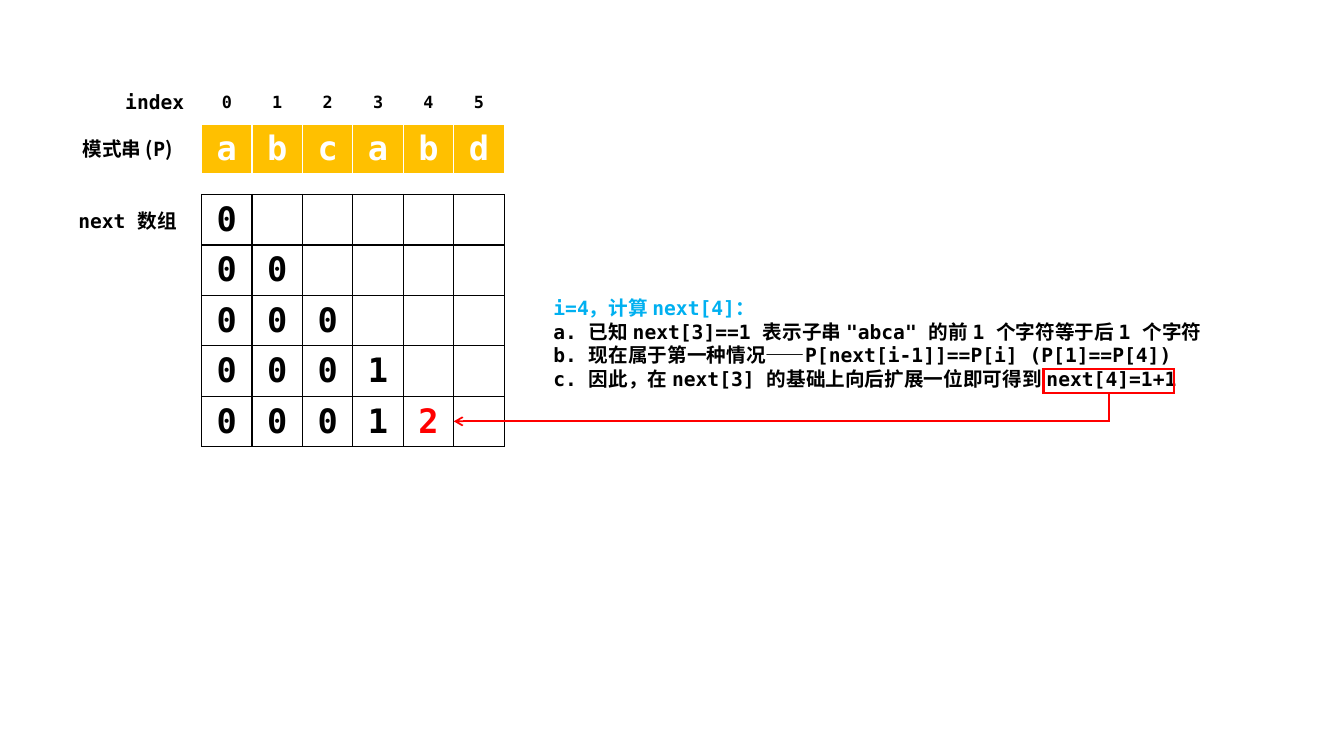
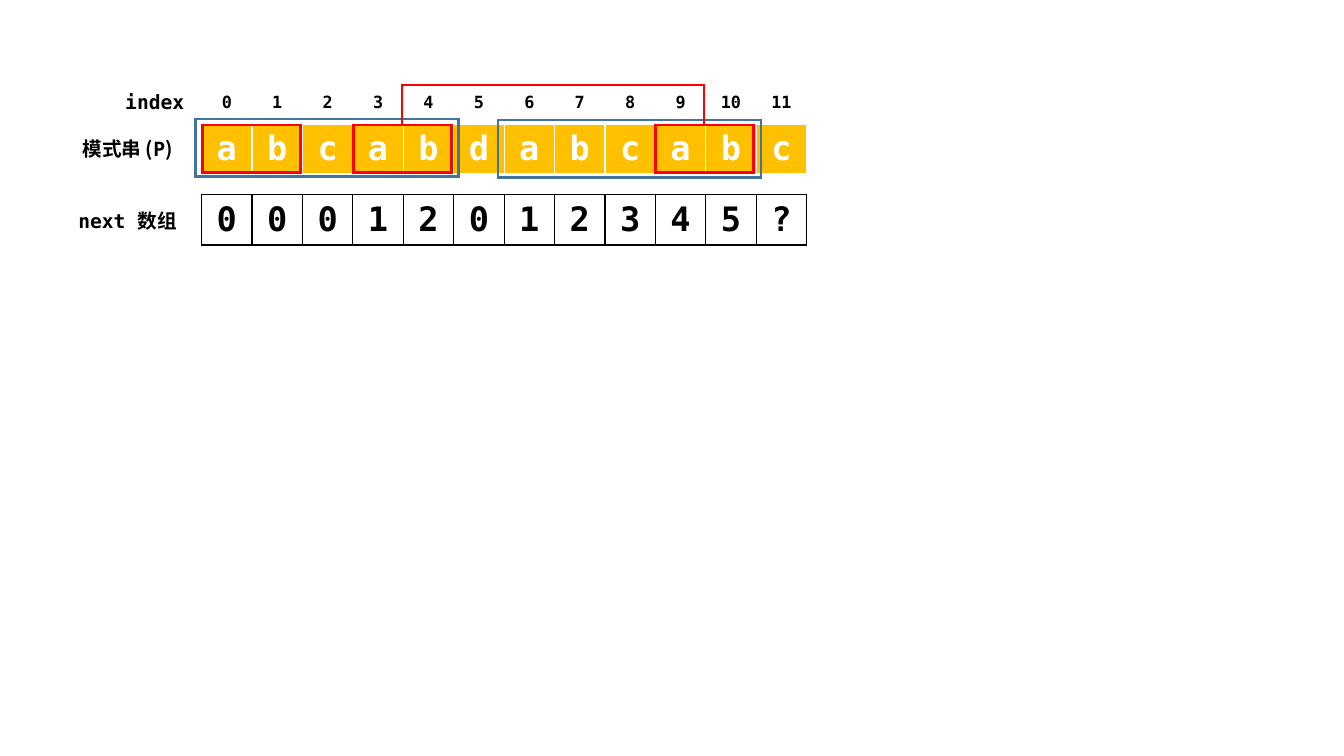
from lxml import etree
from pptx import Presentation
from pptx.dml.color import RGBColor
from pptx.enum.shapes import MSO_CONNECTOR, MSO_SHAPE
from pptx.enum.text import MSO_ANCHOR, MSO_AUTO_SIZE, PP_ALIGN
from pptx.oxml.ns import qn
from pptx.util import Inches, Pt

RECTANGLE = MSO_SHAPE.RECTANGLE
ELBOW = MSO_CONNECTOR.ELBOW
CENTER = PP_ALIGN.CENTER
LEFT = PP_ALIGN.LEFT
MIDDLE = MSO_ANCHOR.MIDDLE
GROW = MSO_AUTO_SIZE.SHAPE_TO_FIT_TEXT

MONO = "DejaVu Sans Mono"
CJK = "Noto Sans CJK SC"
BLACK, WHITE, RED = "000000", "FFFFFF", "FF0000"
GOLD, CYAN, BLUE = "FFC000", "00B0F0", "43739E"

CELL = 0.5
GRID_LEFT = 2
INDEX_WIDTH = 0.93
INDEX_HEIGHT = 0.4
INDEX_TOP, PATTERN_TOP, NEXT_TOP = 0.82, 1.23, 1.93
WHITE_BORDERS = {"L": (WHITE, 1), "R": (WHITE, 1), "T": (WHITE, 1), "B": (WHITE, 3)}
BLACK_BORDERS = {side: (BLACK, 1) for side in "LRTB"}


def color(value):
    return RGBColor.from_string(value)


def write_run(paragraph, text, size, text_color=BLACK, font_name=MONO):
    run = paragraph.add_run()
    run.text = text
    formats = {"name": font_name, "size": Pt(size), "bold": True}
    for attribute, value in formats.items():
        setattr(run.font, attribute, value)
    run.font.color.rgb = color(text_color)
    east_asian = etree.SubElement(run.font._element, qn("a:ea"))
    east_asian.set("typeface", CJK)


def set_borders(cell, borders):
    properties = cell._tc.get_or_add_tcPr()
    for position, (side, (line_color, width)) in enumerate(borders.items()):
        line = etree.Element(qn(f"a:ln{side}"), w=str(Pt(width)))
        fill = etree.SubElement(line, qn("a:solidFill"))
        etree.SubElement(fill, qn("a:srgbClr"), val=line_color)
        properties.insert(position, line)


def add_row(slide, left, top, texts, widths, height, borders, fill=None, size=24, text_color=BLACK):
    frame = slide.shapes.add_table(
        1, len(widths), Inches(left), Inches(top), Inches(sum(widths)), Inches(height))
    table = frame.table
    table.first_row = table.horz_banding = False
    for index, width in enumerate(widths):
        table.columns[index].width = Inches(width)
        cell = table.cell(0, index)
        cell.vertical_anchor = MIDDLE
        if fill:
            cell.fill.solid()
            cell.fill.fore_color.rgb = color(fill)
        else:
            cell.fill.background()
        set_borders(cell, borders)
        if index < len(texts):
            paragraph = cell.text_frame.paragraphs[0]
            paragraph.alignment = CENTER
            write_run(paragraph, texts[index], size, text_color)
    return table


def first_run(table, column):
    return table.cell(0, column).text_frame.paragraphs[0].runs[0]


def add_text(slide, left, top, width, height, paragraphs, alignment=LEFT):
    box = slide.shapes.add_textbox(Inches(left), Inches(top), Inches(width), Inches(height))
    frame = box.text_frame
    frame.word_wrap = True
    frame.auto_size = GROW
    for index, runs in enumerate(paragraphs):
        paragraph = frame.add_paragraph() if index else frame.paragraphs[0]
        paragraph.alignment = alignment
        for text, text_color, font_name in runs:
            write_run(paragraph, text, 14, text_color, font_name)


def format_line(shape, line_color, line_width):
    shape.line.color.rgb = color(line_color)
    shape.line.width = Pt(line_width)
    etree.SubElement(shape.line._get_or_add_ln(), qn("a:miter"), lim="800000")


def add_outline(slide, left, top, width, height, line_color, line_width):
    shape = slide.shapes.add_shape(
        RECTANGLE, Inches(left), Inches(top), Inches(width), Inches(height))
    shape.shadow.inherit = False
    shape.fill.background()
    format_line(shape, line_color, line_width)


def add_turned_elbow(slide, start, end, rotation, line_width, preset="bentConnector3", bend=None):
    width, height = abs(end[1] - start[1]), abs(end[0] - start[0])
    left = (start[0] + end[0] - width) / 2
    top = (start[1] + end[1] - height) / 2
    connector = slide.shapes.add_connector(
        ELBOW, Inches(left), Inches(top), Inches(left + width), Inches(top + height))
    connector.rotation = rotation
    format_line(connector, RED, line_width)
    properties = connector.element.spPr
    geometry = properties.find(qn("a:prstGeom"))
    geometry.set("prst", preset)
    if bend is not None:
        guides = geometry.find(qn("a:avLst"))
        etree.SubElement(guides, qn("a:gd"), name="adj1", fmla=f"val {round(bend * 100000)}")
    etree.SubElement(properties, qn("a:effectLst"))
    return connector


def add_arrowhead(connector):
    etree.SubElement(connector.line._get_or_add_ln(), qn("a:tailEnd"), type="arrow")


def add_labels(slide, left, width, height):
    add_text(slide, left, NEXT_TOP + 0.09, width, height, [[("next 数组", BLACK, MONO)]], CENTER)
    pattern_runs = [("模式串 (", BLACK, CJK), ("P", BLACK, MONO), (")", BLACK, CJK)]
    add_text(slide, left, PATTERN_TOP + 0.08, width, height, [pattern_runs], CENTER)


def build_array_slide(presentation, pattern, next_rows):
    slide = presentation.slides.add_slide(presentation.slide_layouts[6])
    widths = [CELL] * len(pattern)
    index_table = add_row(
        slide, GRID_LEFT - INDEX_WIDTH, INDEX_TOP,
        ["index", *map(str, range(len(pattern)))],
        [INDEX_WIDTH, *widths], INDEX_HEIGHT, WHITE_BORDERS, size=12)
    first_run(index_table, 0).font.size = Pt(14)
    add_row(slide, GRID_LEFT, PATTERN_TOP, pattern, widths, CELL,
            WHITE_BORDERS, fill=GOLD, text_color=WHITE)
    next_tables = [
        add_row(slide, GRID_LEFT, NEXT_TOP + step * CELL, values, widths, CELL, BLACK_BORDERS)
        for step, values in enumerate(next_rows)]
    add_labels(slide, 0.66, 1.21, 0.34)
    return slide, next_tables


def build_step_slide(presentation):
    values = "00012"
    next_rows = [values[:count] for count in range(1, len(values) + 1)]
    slide, next_tables = build_array_slide(presentation, "abcabd", next_rows)
    first_run(next_tables[-1], len(values) - 1).font.color.rgb = color(RED)
    explanation = [
        ("i=4，计算 next[4]：", CYAN),
        ('a. 已知 next[3]==1 表示子串 "abca" 的前 1 个字符等于后 1 个字符', BLACK),
        ("b. 现在属于第一种情况——P[next[i-1]]==P[i] (P[1]==P[4])", BLACK),
        ("c. 因此，在 next[3] 的基础上向后扩展一位即可得到 next[4]=1+1", BLACK),
    ]
    add_text(slide, 5.39, 2.89, 6.89, 1.04,
             [[(text, text_color, MONO)] for text, text_color in explanation])
    add_outline(slide, 10.35, 3.66, 1.29, 0.24, RED, 1.5)
    arrow = add_turned_elbow(slide, (11, 3.9), (GRID_LEFT + 5 * CELL, 4.18), 90, 1.25,
                             "bentConnector2")
    add_arrowhead(arrow)


def build_match_slide(presentation):
    slide, _ = build_array_slide(presentation, "abcabdabcabc", ["00012012345?"])
    for column, top in ((0, 1.18), (6, 1.19)):
        add_outline(slide, GRID_LEFT + column * CELL - 0.06, top, 2.61, 0.57, BLUE, 1.75)
    for left in (2.01, 3.51, 6.5):
        add_outline(slide, left, 1.24, 0.97, 0.47, RED, 2)
    start, end, bridge_top = (3.99, 1.25), (6.98, 1.24), 0.84
    bend = (start[1] - bridge_top) / (start[1] - end[1])
    add_turned_elbow(slide, start, end, 270, 1.5, bend=bend)


def main():
    presentation = Presentation()
    presentation.slide_width = Inches(13.33)
    presentation.slide_height = Inches(7.5)
    build_step_slide(presentation)
    build_match_slide(presentation)
    presentation.save("out.pptx")


if __name__ == "__main__":
    main()
